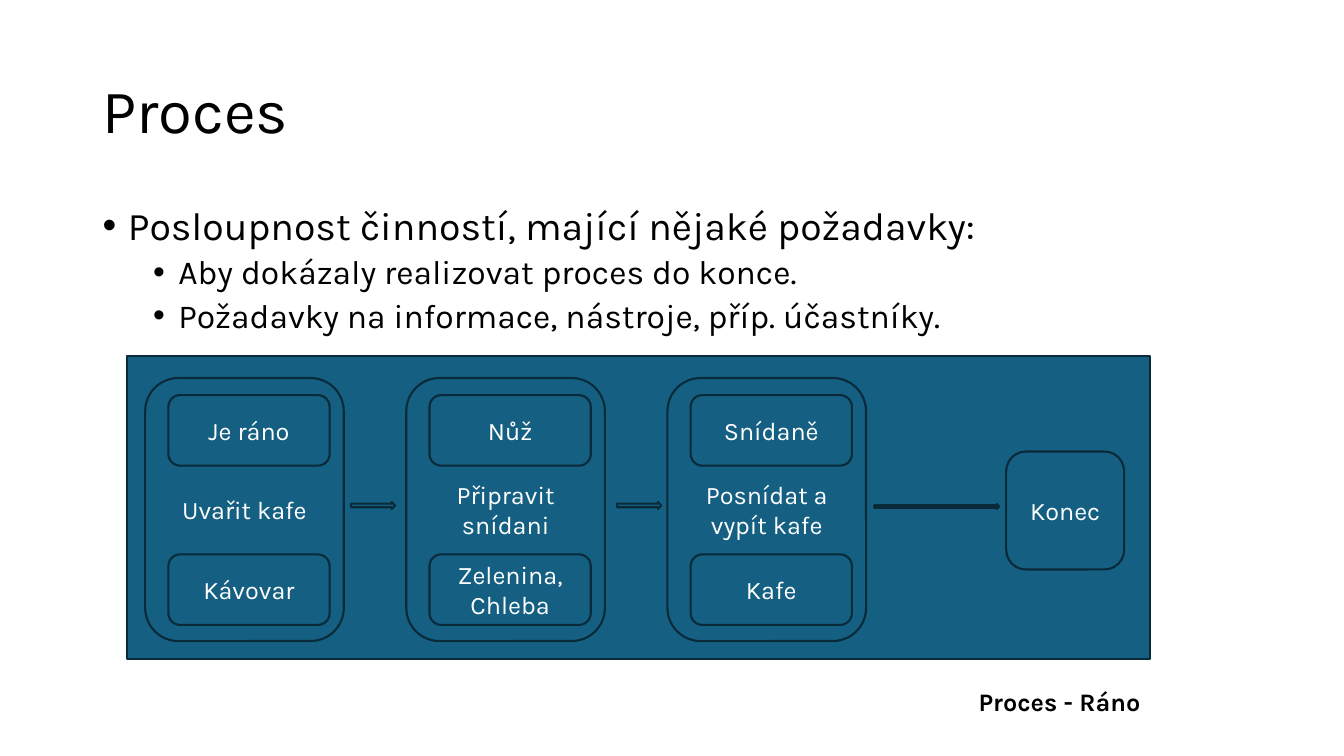
from lxml import etree
from pptx import Presentation
from pptx import util as u
from pptx.dml.color import RGBColor
from pptx.enum import shapes, text
from pptx.oxml.ns import qn

COLORS = {"fill": "156082", "line": "092A39", "light": "FFFFFF", "dark": "000000"}
STEPS = [
    ("Uvařit kafe", "Je ráno", "Kávovar"),
    ("Připravit snídani", "Nůž", "Zelenina, Chleba"),
    ("Posnídat a vypít kafe", "Snídaně", "Kafe"),
]
BULLETS = [
    (0, "Posloupnost činností, mající nějaké požadavky:"),
    (1, "Aby dokázaly realizovat proces do konce."),
    (1, "Požadavky na informace, nástroje, příp. účastníky."),
]
ARROWS = [(3.48, 4.98, 0.44, 0.07), (6.12, 4.98, 0.44, 0.07), (8.67, 5, 1.24, 0.05)]


class SlideBuilder:
    font = "Karla"

    def __init__(self, slide):
        self.s = slide

    def color(self, name):
        return RGBColor.from_string(COLORS[name])

    def run(self, p, content, size, color, bold=False):
        r = p.add_run()
        r.text = content
        r.font.name = self.font
        r.font.size = u.Pt(size)
        r.font.bold = bold
        r.font.color.rgb = self.color(color)

    def shape(self, kind, x, y, w, h, label=None):
        sp = self.s.shapes.add_shape(kind, *map(u.Inches, (x, y, w, h)))
        sp.shadow.inherit = False
        sp.fill.solid()
        sp.fill.fore_color.rgb = self.color("fill")
        sp.line.color.rgb = self.color("line")
        sp.line.width = u.Pt(1.5)
        if label:
            tf = sp.text_frame
            tf.word_wrap = True
            tf.vertical_anchor = text.MSO_ANCHOR.MIDDLE
            p = tf.paragraphs[0]
            p.alignment = text.PP_ALIGN.CENTER
            self.run(p, label, 18, "light")

    def box(self, x, y, w, h, label=None):
        self.shape(shapes.MSO_SHAPE.ROUNDED_RECTANGLE, x, y, w, h, label)

    def arrow(self, x, y, w, h):
        self.shape(shapes.MSO_SHAPE.RIGHT_ARROW, x, y, w, h)

    def frame(self, x, y, w, h):
        tf = self.s.shapes.add_textbox(*map(u.Inches, (x, y, w, h))).text_frame
        tf.word_wrap = True
        return tf

    def title(self, x, y, w, h, content):
        tf = self.frame(x, y, w, h)
        tf.vertical_anchor = text.MSO_ANCHOR.MIDDLE
        p = tf.paragraphs[0]
        p.line_spacing = 0.9
        self.run(p, content, 44, "dark")

    def caption(self, x, y, w, h, content):
        p = self.frame(x, y, w, h).paragraphs[0]
        p.alignment = text.PP_ALIGN.RIGHT
        self.run(p, content, 18, "dark", bold=True)

    def bullets(self, x, y, w, h, items):
        tf = self.frame(x, y, w, h)
        for i, (level, content) in enumerate(items):
            p = tf.add_paragraph() if i else tf.paragraphs[0]
            p.level = level
            p.line_spacing = 0.9
            p.space_before = u.Pt(5 if level else 10)
            pPr = p._p.get_or_add_pPr()
            pPr.set("marL", str(u.Inches(0.25 + 0.5 * level)))
            pPr.set("indent", str(u.Inches(-0.25)))
            etree.SubElement(pPr, qn("a:buFont")).set("typeface", "Arial")
            etree.SubElement(pPr, qn("a:buChar")).set("char", "•")
            self.run(p, content, 24 if level else 28, "dark")


def main():
    prs = Presentation()
    prs.slide_width = u.Inches(13.33)
    prs.slide_height = u.Inches(7.5)
    b = SlideBuilder(prs.slides.add_slide(prs.slide_layouts[6]))

    b.shape(shapes.MSO_SHAPE.RECTANGLE, 1.26, 3.53, 10.15, 3.01)
    b.title(0.92, 0.4, 11.5, 1.45, "Proces")
    b.bullets(0.92, 2, 11.5, 4.76, BULLETS)
    for i, (activity, condition, tool) in enumerate(STEPS):
        x = 1.44 + 2.59 * i
        b.box(x, 3.75, 1.97, 2.61, activity)
        b.box(x + 0.23, 3.92, 1.6, 0.7, condition)
        b.box(x + 0.23, 5.5, 1.6, 0.7, tool)
    b.box(9.98, 4.48, 1.17, 1.17, "Konec")
    for place in ARROWS:
        b.arrow(*place)
    b.caption(9.25, 6.76, 2.16, 0.4, "Proces - Ráno")

    prs.save("out.pptx")


if __name__ == "__main__":
    main()
